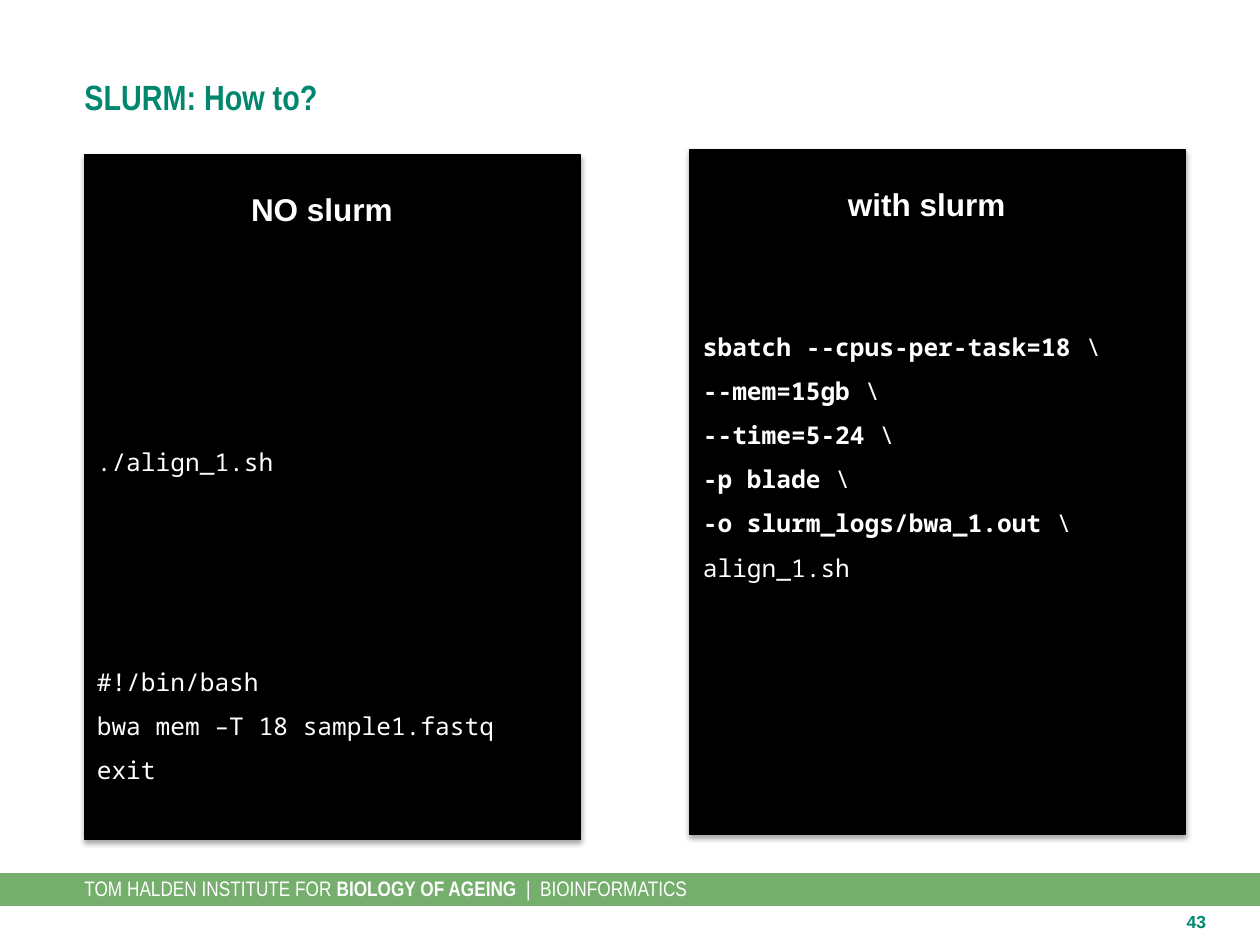
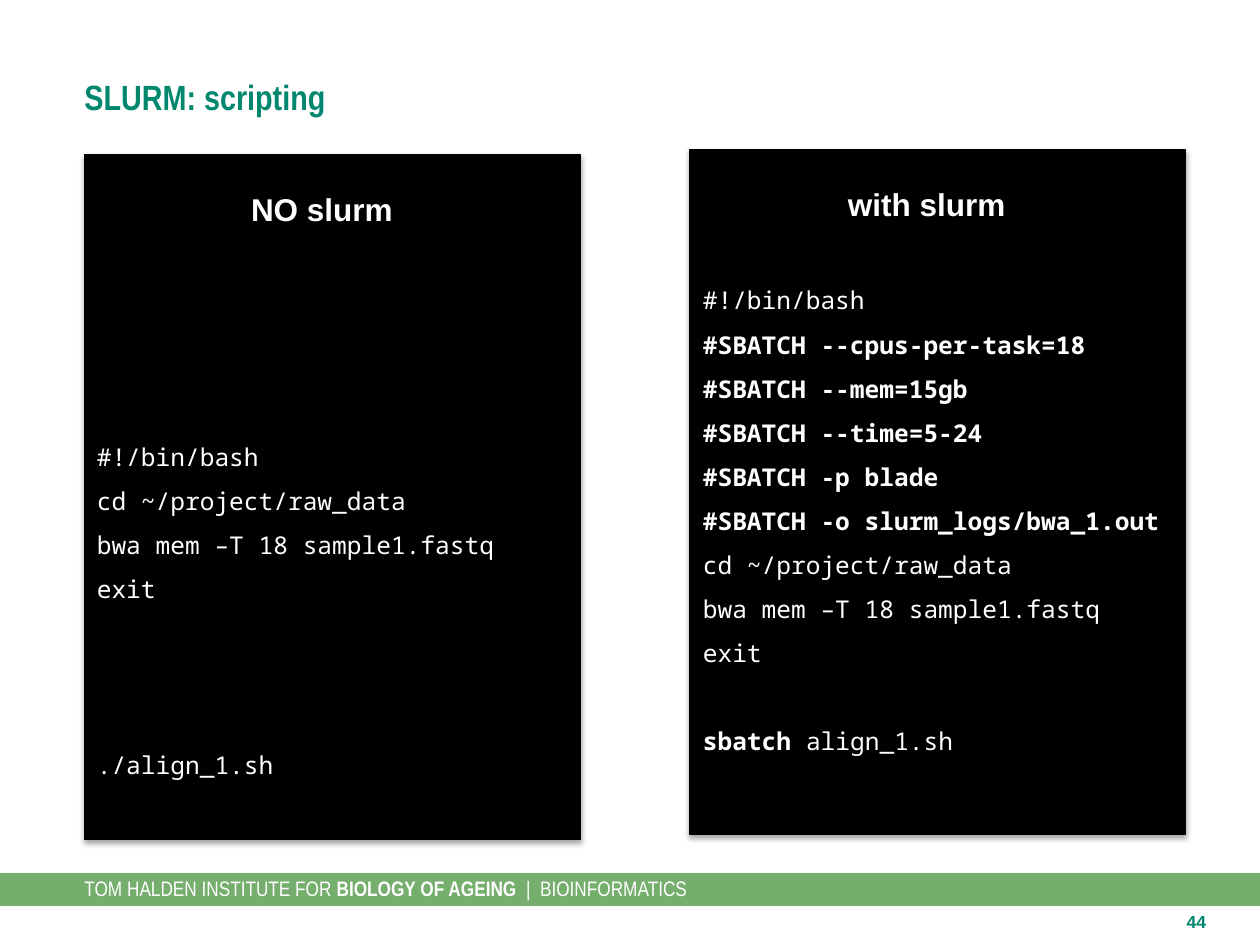
from lxml.etree import SubElement
from pptx import Presentation
from pptx.dml.color import RGBColor
from pptx.enum.shapes import MSO_SHAPE
from pptx.enum.text import MSO_ANCHOR, MSO_AUTO_SIZE, PP_ALIGN
from pptx.oxml.ns import qn
from pptx.util import Inches, Pt

GREEN, BAND, BLACK, WHITE = "00876D", "75AE6D", "000000", "FFFFFF"
HEADING, BODY, CODE = "Arial Narrow", "Arial", "Noto Sans Mono"
LEFT, PANEL_WIDTH, PANEL_HEIGHT = 0.67, 3.94, 5.43
CODE_PITCH = 25.2  # points from one code line to the next
FOOTER = "TOM HALDEN INSTITUTE FOR **BIOLOGY OF AGEING**  |  BIOINFORMATICS"


def color(hex_string):
    return RGBColor.from_string(hex_string)


def write(frame, lines, font=BODY, size=14, ink=WHITE, bold=False,
          align=PP_ALIGN.LEFT, spacing=None, anchor=MSO_ANCHOR.TOP, insets=None):
    """Fill a text frame; **marks** toggle bold, an empty line becomes space before the next."""
    frame.word_wrap = True
    frame.auto_size = MSO_AUTO_SIZE.NONE
    frame.vertical_anchor = anchor
    if insets:
        (frame.margin_left, frame.margin_top,
         frame.margin_right, frame.margin_bottom) = map(Inches, insets)
    skipped, paragraph = 0, None
    for line in lines:
        if not line:
            skipped += 1
            continue
        paragraph = frame.add_paragraph() if paragraph else frame.paragraphs[0]
        paragraph.alignment = align
        if spacing:
            paragraph.line_spacing = spacing
        if skipped:
            paragraph.space_before = Pt(skipped * CODE_PITCH)
            skipped = 0
        for index, text in enumerate(line.split("**")):
            if text:
                run = paragraph.add_run()
                run.text = text
                run.font.name, run.font.size = font, Pt(size)
                run.font.bold = bold or index % 2 == 1
                run.font.color.rgb = color(ink)


class Deck:
    def __init__(self):
        self.presentation = Presentation()
        self.presentation.slide_width = Inches(10)
        self.presentation.slide_height = Inches(7.5)
        self.slide = None

    def start_slide(self, title, number):
        self.slide = self.presentation.slides.add_slide(self.presentation.slide_layouts[5])
        self.rectangle(0, 6.93, 10, 0.26, BAND)
        self.text([FOOTER], LEFT, 6.68, 8.66, 0.47, font=HEADING, size=12,
                  anchor=MSO_ANCHOR.BOTTOM, insets=(0, 0, 0, 0))
        self.title(title)
        self.text([str(number)], 9.14, 7.18, 0.71, 0.28, size=10, ink=GREEN,
                  bold=True, align=PP_ALIGN.CENTER)

    def title(self, text):
        shape = self.slide.shapes.title
        shape.left, shape.top = Inches(LEFT), Inches(0.3)
        shape.width, shape.height = Inches(8.11), Inches(0.93)
        write(shape.text_frame, [text], font=HEADING, size=20, ink=GREEN, bold=True,
              anchor=MSO_ANCHOR.MIDDLE, insets=(0, 0.05, 0.1, 0.05))

    def rectangle(self, left, top, width, height, fill):
        shape = self.slide.shapes.add_shape(
            MSO_SHAPE.RECTANGLE, Inches(left), Inches(top), Inches(width), Inches(height))
        shape.shadow.inherit = False
        shape.fill.solid()
        shape.fill.fore_color.rgb = color(fill)
        shape.line.fill.background()
        return shape

    def text(self, lines, left, top, width, height, **style):
        box = self.slide.shapes.add_textbox(
            Inches(left), Inches(top), Inches(width), Inches(height))
        write(box.text_frame, lines, **style)

    def drop_shadow(self, shape):
        effects = shape.element.spPr.find(qn("a:effectLst"))
        shadow = SubElement(effects, qn("a:outerShdw"), blurRad=str(Pt(3.1)),
                            dist=str(Pt(1.8)), dir="5400000", rotWithShape="0")
        ink = SubElement(shadow, qn("a:srgbClr"), val=BLACK)
        SubElement(ink, qn("a:alpha"), val="35000")

    def panel(self, left, top):
        shape = self.rectangle(left, top, PANEL_WIDTH, PANEL_HEIGHT, BLACK)
        shape.line.color.rgb = color(BLACK)
        shape.line.width = Pt(0.75)
        self.drop_shadow(shape)

    def terminal(self, heading, left, top, heading_left, code, code_box):
        self.panel(left, top)
        self.text([heading], heading_left, top + 0.08, 1.57, 0.53, size=18, bold=True,
                  align=PP_ALIGN.CENTER, spacing=1.5)
        self.text(code, *code_box, font=CODE, spacing=1.5)

    def comparison(self, title, number, plain, plain_box, slurm, slurm_box):
        self.start_slide(title, number)
        self.terminal("with slurm", 5.47, 1.19, 6.57, slurm, slurm_box)
        self.terminal("NO slurm", LEFT, 1.23, 1.77, plain, plain_box)


def main():
    deck = Deck()
    run_script = "./align_1.sh"
    shebang, change_folder = "#!/bin/bash", "cd ~/project/raw_data"
    align_and_exit = ["bwa mem –T 18 sample1.fastq", "exit"]
    options = ["--cpus-per-task=18", "--mem=15gb", "--time=5-24", "-p blade",
               "-o slurm_logs/bwa_1.out"]
    first_option, *other_options = options

    deck.comparison(
        "SLURM: How to?", 43,
        [run_script, "", "", "", "", shebang, *align_and_exit],
        (LEFT, 3.38, 4.02, 3.26),
        [f"**{option}** \\" for option in [f"sbatch {first_option}", *other_options]]
        + ["align_1.sh"],
        (5.48, 2.47, 4.19, 2.2))

    deck.comparison(
        "SLURM: scripting", 44,
        [shebang, change_folder, *align_and_exit, "", "", "", run_script],
        (LEFT, 3.34, 4.02, 2.91),
        [shebang, *(f"**#SBATCH {option}**" for option in options),
         change_folder, *align_and_exit, "", "**sbatch** align_1.sh"],
        (5.48, 2.1, 4.19, 3.97))

    deck.presentation.save("out.pptx")


if __name__ == "__main__":
    main()
